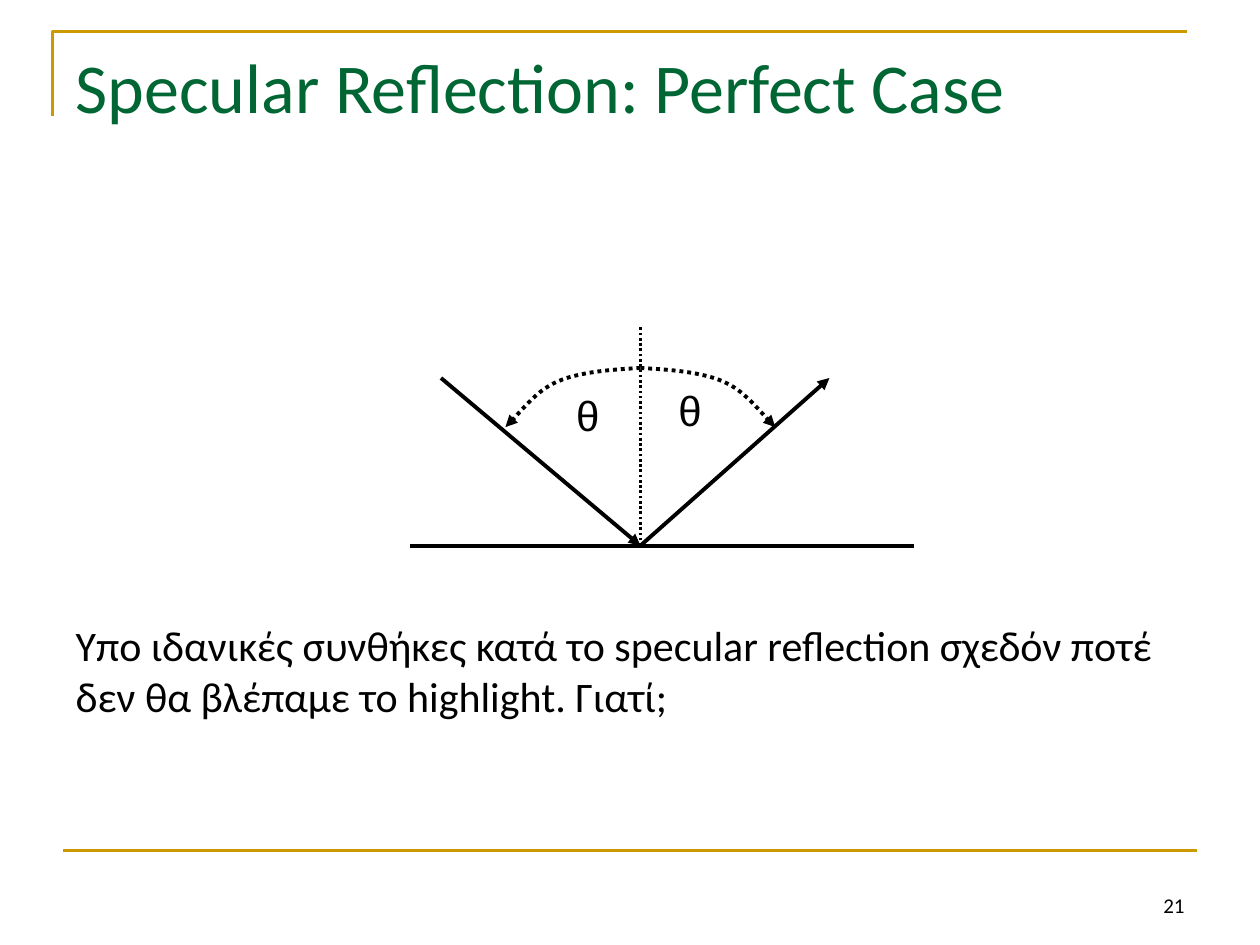
import pptx
import pptx.dml.color
import pptx.enum.dml
import pptx.enum.shapes
import pptx.enum.text
import pptx.oxml.ns
import pptx.util
from lxml import etree

Cm = pptx.util.Cm
Pt = pptx.util.Pt
ALIGN = pptx.enum.text.PP_ALIGN
ANCHOR = pptx.enum.text.MSO_ANCHOR
DOTTED = pptx.enum.dml.MSO_LINE.ROUND_DOT

COLORS = {"gold": "CC9900", "green": "006633", "black": "000000"}
HIT = (12.91, 11)
ARC_TOP = (12.91, 7.42)
# Two cubic curves as offsets from ARC_TOP, each starting where the last ended
ARC_CURVES = [
    [(0, 0), (0.6, 0.03), (1.24, 0.08), (1.69, 0.28)],
    [(1.69, 0.28), (2.15, 0.48), (2.5, 1), (2.72, 1.19)],
]


def rgb(name):
    return pptx.dml.color.RGBColor.from_string(COLORS[name])


def style_line(s, color, width, dash=None, arrow=False):
    s.line.color.rgb = rgb(color)
    s.line.width = Pt(width)
    if dash is not None:
        s.line.dash_style = dash
    if arrow:
        ln = s.line._get_or_add_ln()
        etree.SubElement(ln, pptx.oxml.ns.qn("a:tailEnd"), type="triangle")


def add_line(slide, start, end, color="black", width=2.25, **style):
    s = slide.shapes.add_connector(
        pptx.enum.shapes.MSO_CONNECTOR.STRAIGHT, *map(Cm, start + end))
    style_line(s, color, width, **style)
    etree.SubElement(s._element.spPr, pptx.oxml.ns.qn("a:effectLst"))


def add_outline(slide, points, color="black", width=2.25, **style):
    """Draw an open, unfilled path through points."""
    points = [(Cm(x), Cm(y)) for x, y in points]
    builder = slide.shapes.build_freeform(*points[0])
    builder.add_line_segments(points[1:], close=False)
    s = builder.convert_to_shape()
    s.fill.background()
    s.shadow.inherit = False
    style_line(s, color, width, **style)


def arc_points(side, steps=12):
    """Sample the angle arc; side is 1 for right and -1 for left."""
    points = [ARC_TOP]
    for a, b, c, d in ARC_CURVES:
        for i in range(1, steps + 1):
            t = i / steps
            u = 1 - t
            dx, dy = (u**3 * a[k] + 3 * u * u * t * b[k]
                      + 3 * u * t * t * c[k] + t**3 * d[k] for k in (0, 1))
            points.append((ARC_TOP[0] + side * dx, ARC_TOP[1] + dy))
    return points


def write_text(s, text, size, color="black", font="Calibri",
               align=ALIGN.LEFT, anchor=ANCHOR.TOP, wrap=True):
    tf = s.text_frame
    tf.auto_size = pptx.enum.text.MSO_AUTO_SIZE.NONE
    tf.word_wrap = wrap
    tf.vertical_anchor = anchor
    p = tf.paragraphs[0]
    p.alignment = align
    r = p.add_run()
    r.text = text
    r.font.size = Pt(size)
    r.font.name = font
    r.font.color.rgb = rgb(color)
    return p


def fill_placeholder(s, box, text, size, color):
    s.left, s.top, s.width, s.height = map(Cm, box)
    return write_text(s, text, size, color)


def add_text(slide, box, text, size, **style):
    s = slide.shapes.add_textbox(*map(Cm, box))
    write_text(s, text, size, **style)


def remove_bullet(p):
    pPr = p._p.get_or_add_pPr()
    pPr.set("marL", "0")
    pPr.set("indent", "0")
    etree.SubElement(pPr, pptx.oxml.ns.qn("a:buNone"))


def add_frame(slide):
    add_outline(slide, [(1.06, 2.33), (1.06, 0.64), (23.92, 0.64)], "gold", 1.5)
    add_line(slide, (1.27, 17.15), (24.13, 17.15), "gold", 1.5)
    add_text(slide, (18.2, 17.36, 5.93, 1.27), "21", 12,
             align=ALIGN.RIGHT, anchor=ANCHOR.BOTTOM)


def add_reflection(slide):
    add_line(slide, (8.26, HIT[1]), (18.42, HIT[1]))
    add_line(slide, (8.89, 7.62), HIT, arrow=True)
    add_line(slide, HIT, (16.72, 7.62), arrow=True)
    add_line(slide, HIT, (HIT[0], 6.56), width=1.5, dash=DOTTED)
    for side in (1, -1):
        add_outline(slide, arc_points(side), dash=DOTTED, arrow=True)
    for left, top in ((11.38, 7.72), (13.44, 7.62)):
        add_text(slide, (left, top, 0.94, 1.27), "θ", 24,
                 font="Arial", align=ALIGN.CENTER, wrap=False)


def main():
    prs = pptx.Presentation()
    prs.slide_width, prs.slide_height = Cm(25.4), Cm(19.05)
    slide = prs.slides.add_slide(prs.slide_layouts[1])
    add_frame(slide)
    fill_placeholder(slide.shapes.title, (1.27, 0.76, 22.86, 3.18),
                     "Specular Reflection: Perfect Case", 40, "green")
    p = fill_placeholder(
        slide.placeholders[1], (1.27, 12.37, 22.86, 4.67),
        "Υπο ιδανικές συνθήκες κατά το specular reflection σχεδόν ποτέ "
        "δεν θα βλέπαμε το highlight. Γιατί;", 24, "black")
    p.space_before = Pt(6)
    remove_bullet(p)
    add_reflection(slide)
    prs.save("out.pptx")


if __name__ == "__main__":
    main()
